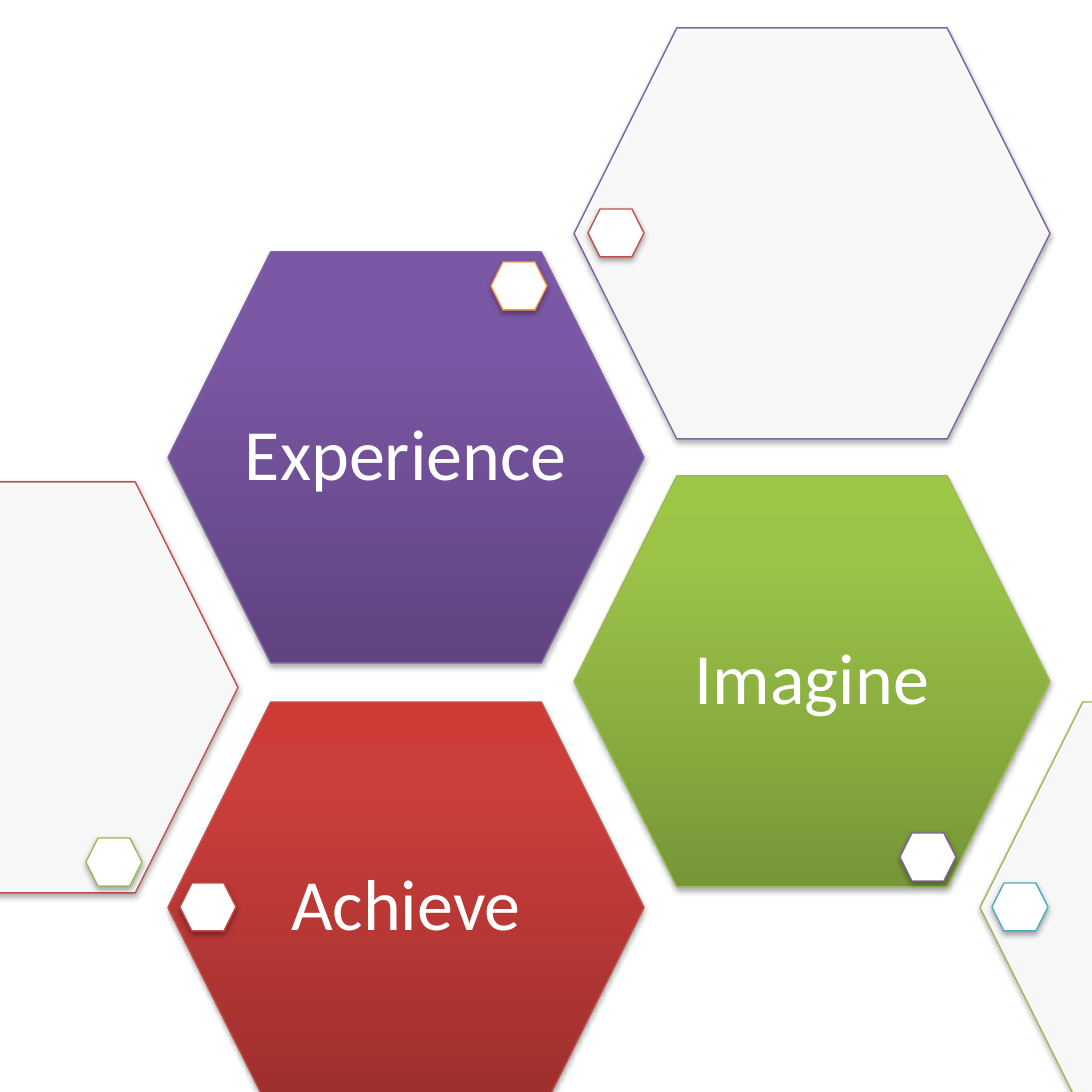
from copy import deepcopy

from lxml.etree import SubElement
from pptx import Presentation
from pptx.dml.color import RGBColor
from pptx.enum.shapes import MSO_SHAPE as Shape
from pptx.enum.text import MSO_ANCHOR as Anchor, PP_ALIGN as Align
from pptx.oxml.ns import qn
from pptx.util import Inches, Pt

SCALE = Inches(1) / 136.5
SLIDE_SIDE = 1092
COLORS = {
    "white": "FFFFFF", "black": "000000", "red": "C0504D", "green": "9BBB59",
    "purple": "8064A2", "blue": "4BACC6", "orange": "F79646",
}
# Gradient stops from the bottom edge to the top edge
GRADIENTS = {
    "red": ("9C2F2D", "CB3E3A", "CE3B37"),
    "green": ("779737", "9BC348", "9DC746"),
    "purple": ("5F4480", "7B58A6", "7C57A8"),
}
STOP_POSITIONS = (0, 80000, 100000)

# Honeycomb geometry
HEXAGON = (476, 411)
BADGE = (56, 48)
LABEL_INSET = (74, 64)
FIRST_LEFT, COLUMN_STEP = 168, 406

# Column, top, outline, label (None for a pale cell), badge left and top, badge outline
CELLS = [
    (0, 702, "red", "Achieve", (180, 883), "red"),
    (-1, 482, "red", None, (86, 838), "green"),
    (1, 476, "green", "Imagine", (900, 833), "purple"),
    (2, 702, "green", None, (992, 883), "blue"),
    (0, 252, "purple", "Experience", (491, 262), "orange"),
    (1, 28, "purple", None, (588, 209), "red"),
]


def px(value):
    return round(value * SCALE)


def assign(target, values):
    for name, value in values.items():
        setattr(target, name, value)


class Painter:
    frame_format = {
        "word_wrap": True, "vertical_anchor": Anchor.MIDDLE,
        "margin_left": 0, "margin_right": 0,
        "margin_top": Inches(0.05), "margin_bottom": Inches(0.05),
    }
    paragraph_format = {"alignment": Align.CENTER, "line_spacing": 0.9}
    font_format = {"name": "Calibri", "size": Pt(38)}
    shadow_format = {"blurRad": Pt(3.1), "dist": Pt(1.8), "dir": 5400000,
                     "algn": "ctr", "rotWithShape": 0}

    def __init__(self, slide):
        self.slide = slide

    def color(self, name):
        return RGBColor.from_string(COLORS[name])

    def hexagon(self, position, size, outline, gradient=None, opacity=None):
        shape = self.slide.shapes.add_shape(
            Shape.HEXAGON, *map(px, position + size))
        shape.adjustments[0] = 0.25
        if gradient:
            self.fill_gradient(shape, GRADIENTS[gradient])
        else:
            shape.fill.solid()
            shape.fill.fore_color.rgb = self.color("white")
        if opacity:
            fill_color = shape._element.spPr.find(
                f"{qn('a:solidFill')}/{qn('a:srgbClr')}")
            SubElement(fill_color, qn("a:alpha"), val=str(opacity * 1000))
        shape.line.color.rgb = self.color(outline)
        shape.line.width = Pt(0.75)
        self.drop_shadow(shape)

    def fill_gradient(self, shape, stop_colors):
        shape.fill.gradient()
        shape.fill.gradient_angle = 90
        stops = shape._element.spPr.find(f".//{qn('a:gsLst')}")
        stops.append(deepcopy(stops[-1]))
        for stop, position, value in zip(stops, STOP_POSITIONS, stop_colors):
            stop.set("pos", str(position))
            stop.remove(stop[0])
            SubElement(stop, qn("a:srgbClr"), val=value)

    def drop_shadow(self, shape):
        shape.shadow.inherit = False
        effects = shape._element.spPr.find(qn("a:effectLst"))
        shadow = SubElement(effects, qn("a:outerShdw"))
        for name, value in self.shadow_format.items():
            shadow.set(name, str(value))
        shade = SubElement(shadow, qn("a:srgbClr"), val=COLORS["black"])
        SubElement(shade, qn("a:alpha"), val="35000")

    def label(self, position, size, text):
        frame = self.slide.shapes.add_textbox(
            *map(px, position + size)).text_frame
        assign(frame, self.frame_format)
        paragraph = frame.paragraphs[0]
        assign(paragraph, self.paragraph_format)
        run = paragraph.add_run()
        run.text = text
        assign(run.font, self.font_format)
        run.font.color.rgb = self.color("white")


presentation = Presentation()
presentation.slide_width = presentation.slide_height = px(SLIDE_SIDE)
painter = Painter(presentation.slides.add_slide(presentation.slide_layouts[6]))

# Cells with their labels and badges
label_size = tuple(side - 2 * inset for side, inset in zip(HEXAGON, LABEL_INSET))
for column, top, outline, text, badge_position, badge_outline in CELLS:
    position = (FIRST_LEFT + column * COLUMN_STEP, top)
    if text:
        painter.hexagon(position, HEXAGON, outline, gradient=outline)
        label_position = tuple(map(sum, zip(position, LABEL_INSET)))
        painter.label(label_position, label_size, text)
    else:
        painter.hexagon(position, HEXAGON, outline, opacity=90)
    painter.hexagon(badge_position, BADGE, badge_outline)

presentation.save("out.pptx")
